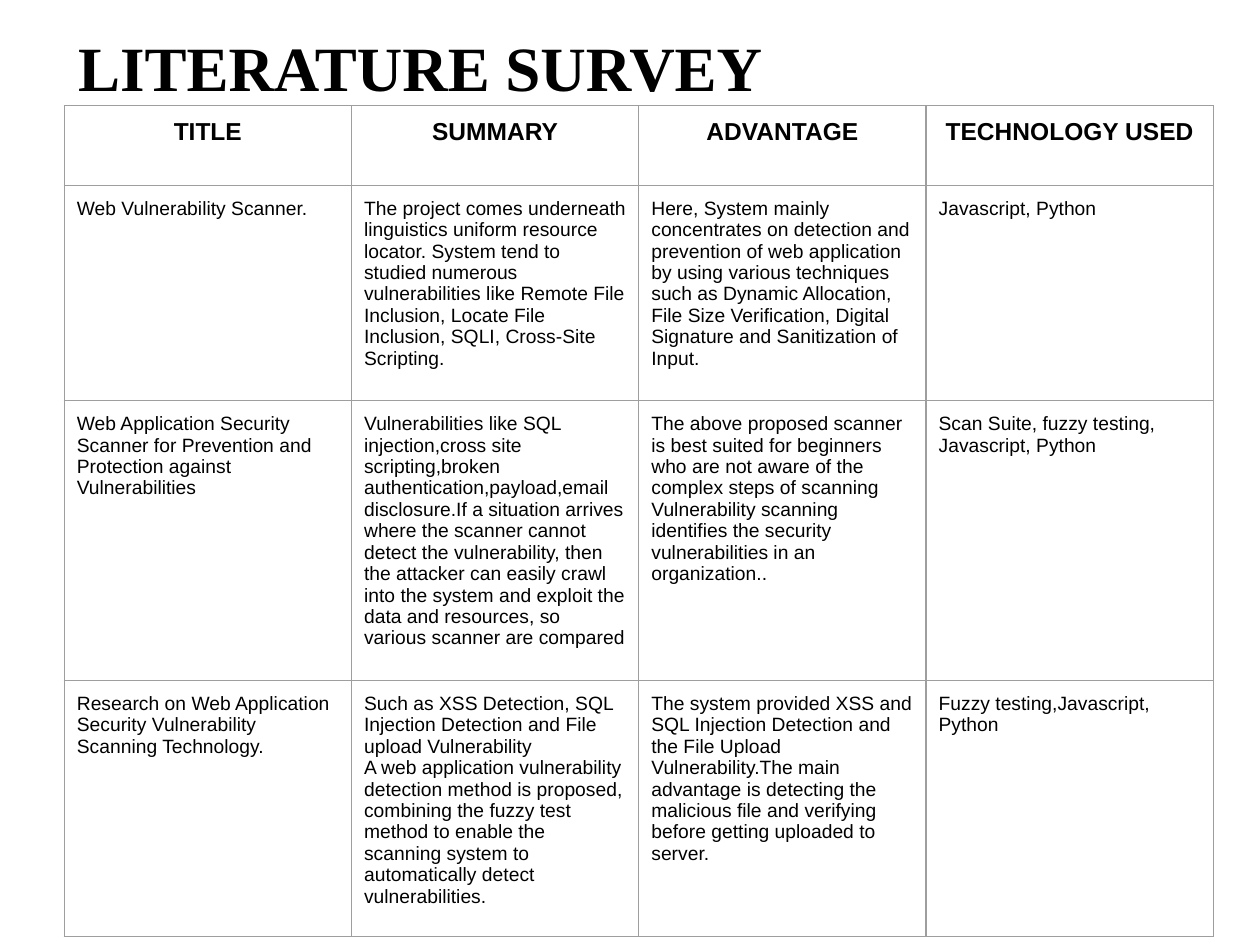
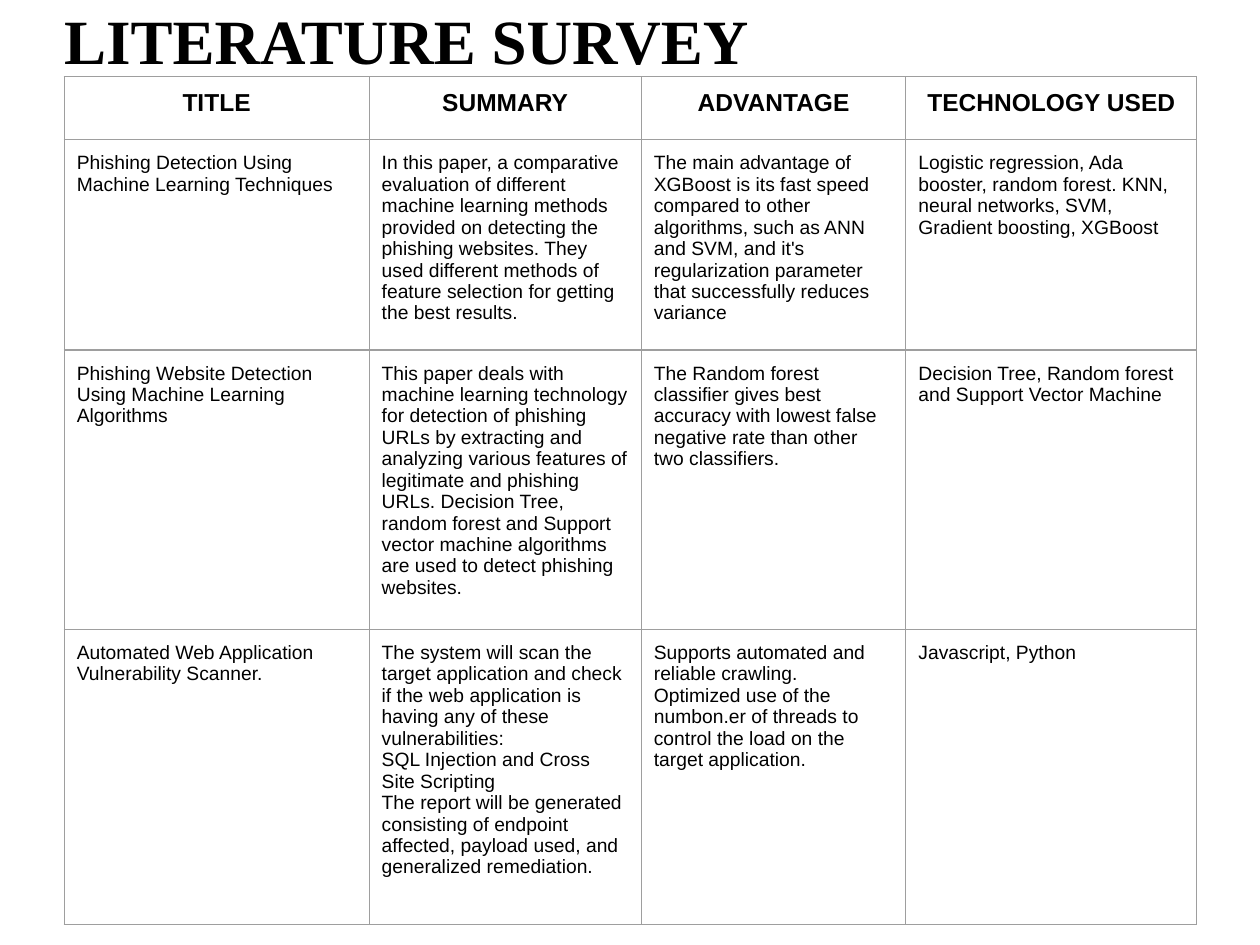
from lxml.etree import SubElement as Sub
from pptx import Presentation
from pptx.dml.color import RGBColor
from pptx.enum.text import MSO_ANCHOR as Anchor, MSO_AUTO_SIZE as Fit, PP_ALIGN as Align
from pptx.oxml.ns import qn
from pptx.util import Inches, Pt

BLACK, GREY = "000000", "9E9E9E"
SERIF, SANS = "Times New Roman", "Arial"
PAD = 0.1
HEADS = ["TITLE", "SUMMARY", "ADVANTAGE", "TECHNOLOGY USED"]

FIRST = [
    ["Web Vulnerability Scanner.",
     "The project comes underneath linguistics uniform resource locator. System tend to "
     "studied numerous vulnerabilities like Remote File Inclusion, Locate File Inclusion, "
     "SQLI, Cross-Site Scripting.",
     "Here, System mainly concentrates on detection and prevention of web application by "
     "using various techniques such as Dynamic Allocation, File Size Verification, Digital "
     "Signature and Sanitization of Input.",
     "Javascript, Python"],
    ["Web Application Security Scanner for Prevention and Protection against Vulnerabilities",
     "Vulnerabilities like SQL injection,cross site scripting,broken "
     "authentication,payload,email disclosure.If a situation arrives where the scanner "
     "cannot detect the vulnerability, then the attacker can easily crawl into the system "
     "and exploit the data and resources, so various scanner are compared",
     "The above proposed scanner is best suited for beginners who are not aware of the "
     "complex steps of scanning Vulnerability scanning identifies the security "
     "vulnerabilities in an organization..",
     "Scan Suite, fuzzy testing, Javascript, Python"],
    ["Research on Web Application Security Vulnerability Scanning Technology.",
     "Such as XSS Detection, SQL Injection Detection and File upload Vulnerability\n"
     "A web application vulnerability detection method is proposed, combining the fuzzy "
     "test method to enable the scanning system to automatically detect vulnerabilities.",
     "The system provided XSS and SQL Injection Detection and the File Upload "
     "Vulnerability.The main advantage is detecting the malicious file and verifying before "
     "getting uploaded to server.",
     "Fuzzy testing,Javascript, Python"],
]

SECOND = [
    ["Phishing Detection Using Machine Learning Techniques",
     "In this paper, a comparative evaluation of different machine learning methods "
     "provided on detecting the phishing websites. They used different methods of feature "
     "selection for getting the best results.",
     "The main advantage of XGBoost is its fast speed compared to other algorithms, such as "
     "ANN and SVM, and it's regularization parameter that successfully reduces variance",
     "Logistic regression, Ada booster, random forest. KNN, neural networks, SVM, Gradient "
     "boosting, XGBoost"],
    ["Phishing Website Detection Using Machine Learning Algorithms",
     "This paper deals with machine learning technology for detection of phishing URLs by "
     "extracting and analyzing various features of legitimate and phishing URLs. Decision "
     "Tree, random forest and Support vector machine algorithms are used to detect phishing "
     "websites.",
     "The Random forest classifier gives best accuracy with lowest false negative rate than "
     "other two classifiers.",
     "Decision Tree, Random forest and Support Vector Machine"],
    ["Automated Web Application Vulnerability Scanner.",
     "The system will scan the target application and check if the web application is having "
     "any of these vulnerabilities:\n"
     "SQL Injection and Cross Site Scripting\n"
     "The report will be generated consisting of endpoint affected, payload used, and "
     "generalized remediation.",
     "Supports automated and reliable crawling.\n"
     "Optimized use of the numbon.er of threads to control the load on the target "
     "application.",
     "Javascript, Python"],
]


def tint(color, code):
    color.rgb = RGBColor.from_string(code)


def write(frame, text, face, size, bold, align):
    for i, line in enumerate(text.split("\n")):
        para = frame.add_paragraph() if i else frame.paragraphs[0]
        para.alignment = align
        run = para.add_run()
        run.text = line
        font = run.font
        font.name, font.size, font.bold = face, Pt(size), bold
        tint(font.color, BLACK)


def pad(part, gap):
    part.margin_left = part.margin_right = Inches(gap)
    part.margin_top = part.margin_bottom = Inches(gap)


def edge(cell):
    props = cell._tc.get_or_add_tcPr()
    for i, side in enumerate(("lnL", "lnR", "lnT", "lnB")):
        line = Sub(props, qn(f"a:{side}"), w=str(Pt(0.75)))
        Sub(Sub(line, qn("a:solidFill")), qn("a:srgbClr"), val=GREY)
        props.insert(i, line)


def head(slide, box, gap):
    title = slide.shapes.title
    title.left, title.top, title.width, title.height = map(Inches, box)
    frame = title.text_frame
    frame.word_wrap = True
    frame.auto_size = Fit.SHAPE_TO_FIT_TEXT
    frame.vertical_anchor = Anchor.BOTTOM
    pad(frame, gap)
    write(frame, "LITERATURE SURVEY", SERIF, 36, True, Align.LEFT)


def grid(slide, left, top, wides, highs, rows):
    box = map(Inches, (left, top, sum(wides), sum(highs)))
    table = slide.shapes.add_table(len(highs), len(wides), *box).table
    table.first_row = table.horz_banding = False
    for col, wide in zip(table.columns, wides):
        col.width = Inches(wide)
    for row, high in zip(table.rows, highs):
        row.height = Inches(high)
    for r, texts in enumerate([HEADS] + rows):
        style = (SANS, 11, False, Align.LEFT) if r else (SANS, 14, True, Align.CENTER)
        for c, text in enumerate(texts):
            cell = table.cell(r, c)
            cell.fill.background()
            edge(cell)
            pad(cell, PAD)
            write(cell.text_frame, text, *style)


def survey(deck, box, gap, top, wides, highs, rows):
    slide = deck.slides.add_slide(deck.slide_layouts[5])
    head(slide, box, gap)
    grid(slide, 0.51, top, wides, highs, rows)


def main():
    deck = Presentation()
    deck.slide_width, deck.slide_height = Inches(10), Inches(7.5)
    survey(deck, (0.52, 0.12, 8.82, 0.81), PAD, 0.84,
           [2.28] * 4, [0.63, 1.71, 2.22, 1.97], FIRST)
    survey(deck, (0.51, 0, 8.42, 0.61), 0, 0.61,
           [2.42, 2.16, 2.1, 2.31], [0.5, 1.64, 2.18, 2.34], SECOND)
    deck.save("out.pptx")


if __name__ == "__main__":
    main()
